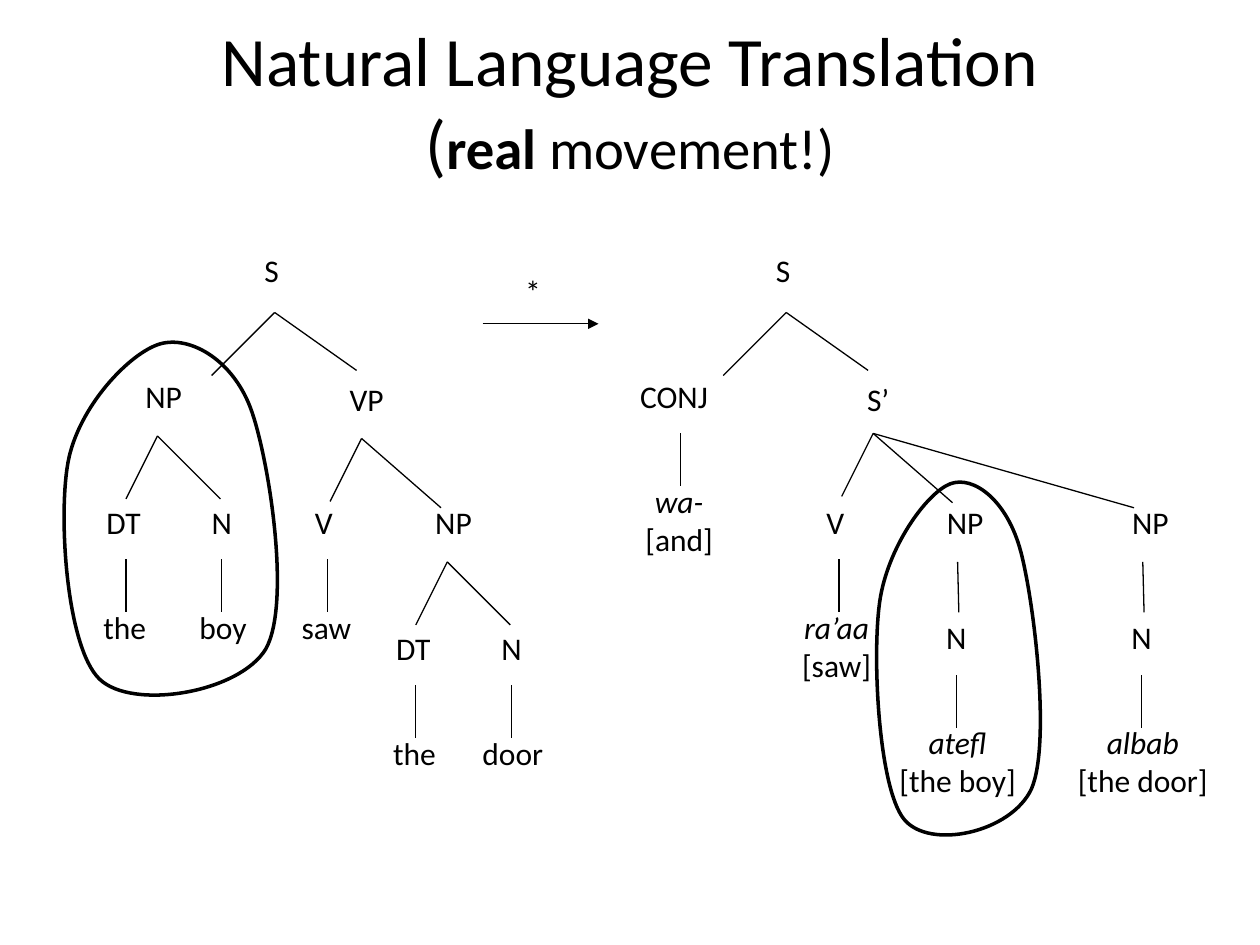
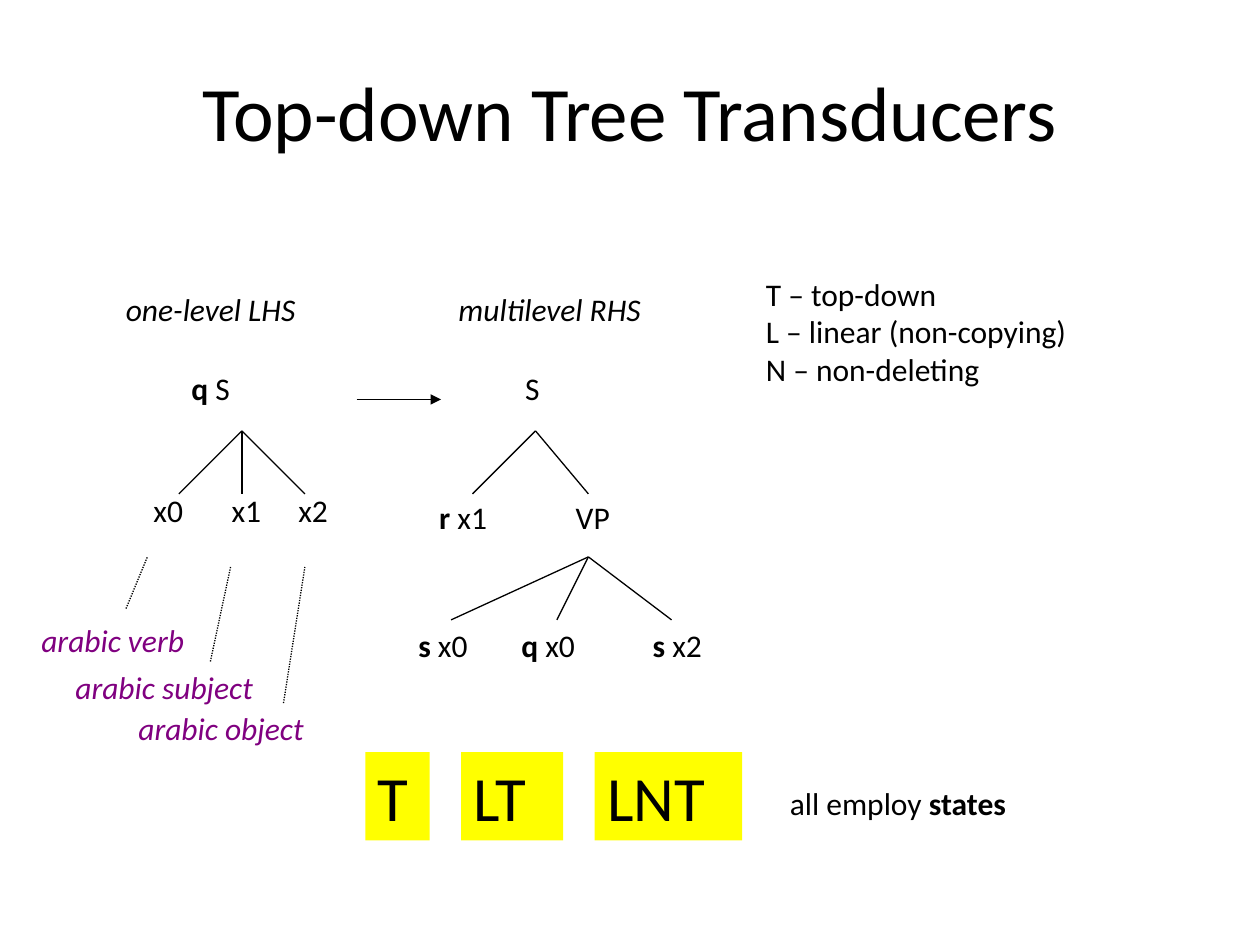
"""Build two slides on tree movement and top-down tree transducers."""
from dataclasses import dataclass

import lxml.etree
import pptx
import pptx.dml.color
import pptx.enum.dml
import pptx.enum.shapes
import pptx.enum.text
import pptx.oxml.ns
import pptx.util

Inches = pptx.util.Inches
Pt = pptx.util.Pt
RGB = pptx.dml.color.RGBColor
ALIGN = pptx.enum.text.PP_ALIGN
ANCHOR = pptx.enum.text.MSO_ANCHOR
SHAPES = pptx.enum.shapes.MSO_SHAPE
qn = pptx.oxml.ns.qn


@dataclass(frozen=True)
class Theme:
    """Hold the font, colours, type sizes and line widths."""
    font: str = "Calibri"
    ink: RGB = RGB(0, 0, 0)
    role: RGB = RGB(0x80, 0, 0x80)
    highlight: RGB = RGB(0xFF, 0xFF, 0)
    title: float = 44
    long_title: float = 39.6
    subtitle: float = 32.4
    body: float = 18
    model: float = 36
    branch: float = 0.75
    loop: float = 2


THEME = Theme()
LEAF_DROP = 0.42
LOOP_WIDTH = 1.85
LOOP_START = (0.81, 0.07)
LOOP_CURVES = [
    ((0.57, 0.14), (0.16, 0.57), (0.08, 1.01)),
    ((0, 1.45), (0.07, 2.48), (0.33, 2.73)),
    ((0.59, 2.98), (1.44, 2.84), (1.65, 2.49)),
    ((1.85, 2.13), (1.68, 1.02), (1.54, 0.61)),
    ((1.4, 0.2), (1.05, 0), LOOP_START),
]


def add_run(p, text, style="", size=THEME.body, color=THEME.ink):
    """Add one run; style holds "b" for bold and "i" for italic."""
    r = p.add_run()
    r.text = text
    r.font.name = THEME.font
    r.font.size = Pt(size)
    r.font.color.rgb = color
    r.font.bold = "b" in style
    r.font.italic = "i" in style


def fill_text(sp, paragraphs, align, size=THEME.body, color=THEME.ink):
    """Fill a shape with paragraphs, each a list of (text, style) runs."""
    tf = sp.text_frame
    tf.word_wrap = False
    tf.auto_size = pptx.enum.text.MSO_AUTO_SIZE.SHAPE_TO_FIT_TEXT
    tf.vertical_anchor = ANCHOR.TOP
    for i, runs in enumerate(paragraphs):
        p = tf.add_paragraph() if i else tf.paragraphs[0]
        p.alignment = align
        for text, style in runs:
            add_run(p, text, style, size, color)


def add_text(slide, x, y, w, *paragraphs, align=ALIGN.LEFT, h=None, color=THEME.ink):
    """Add a text box whose height follows its number of lines."""
    h = h or 0.1 + 0.4 * len(paragraphs)
    sp = slide.shapes.add_textbox(Inches(x), Inches(y), Inches(w), Inches(h))
    fill_text(sp, paragraphs, align, color=color)
    return sp


def add_node(slide, cx, y, w, *paragraphs):
    """Add a tree node centred on cx; a plain string is one unstyled line."""
    paragraphs = [[(p, "")] if isinstance(p, str) else p for p in paragraphs]
    return add_text(slide, cx - w / 2, y, w, *paragraphs, align=ALIGN.CENTER)


def add_gloss(slide, cx, y, w, word, meaning):
    """Add a foreign word in italics above its bracketed meaning."""
    add_node(slide, cx, y, w, [(word, "i")], f"[{meaning}]")


def add_title(slide, y):
    """Add the empty title box and return its centred paragraph."""
    sp = slide.shapes.add_textbox(Inches(0.75), Inches(y), Inches(8.5), Inches(1.25))
    tf = sp.text_frame
    tf.word_wrap = True
    tf.vertical_anchor = ANCHOR.MIDDLE
    p = tf.paragraphs[0]
    p.alignment = ALIGN.CENTER
    return p


def add_line(slide, start, end, arrow=False, dotted=False):
    """Add a thin straight line, with an arrowhead or dots if asked."""
    kind = pptx.enum.shapes.MSO_CONNECTOR.STRAIGHT
    sp = slide.shapes.add_connector(kind, *(Inches(v) for v in (*start, *end)))
    sp.line.color.rgb = THEME.ink
    sp.line.width = Pt(THEME.branch)
    if dotted:
        sp.line.dash_style = pptx.enum.dml.MSO_LINE.ROUND_DOT
    if arrow:
        ln = sp._element.spPr.find(qn("a:ln"))
        lxml.etree.SubElement(ln, qn("a:tailEnd"), type="triangle")
    lxml.etree.SubElement(sp._element.spPr, qn("a:effectLst"))
    return sp


def add_branches(slide, x, y, *offsets):
    """Draw branches from an apex to each (dx, dy) offset."""
    for dx, dy in offsets:
        add_line(slide, (x, y), (x + dx, y + dy))


def add_stem(slide, x, y):
    """Draw a vertical stem down from x, y."""
    add_branches(slide, x, y, (0, LEAF_DROP))


def add_joined_stem(slide, node, cx, y):
    """Draw a stem joined to the bottom of a node."""
    add_line(slide, (cx, y), (cx, y + LEAF_DROP)).begin_connect(node, 2)


def add_root(slide, x, y):
    """Add a sentence root S above the apex at x, y."""
    add_text(slide, x - 0.18, y - 0.54, 0.39, [("S", "")])


def add_sentence(slide, x, y):
    """Add a root S with its two branches."""
    add_root(slide, x, y)
    add_branches(slide, x, y, (-0.5, 0.5), (0.65, 0.46))


def add_english_np(slide, x, y, noun, noun_width):
    """Add the NP subtree of "the" and a noun below the apex x, y."""
    add_node(slide, x + 0.05, y - 0.52, 0.63, "NP")
    add_branches(slide, x, y, (0.5, 0.5), (-0.25, 0.5))
    add_node(slide, x - 0.27, y + 0.48, 0.65, "DT")
    n = add_node(slide, x + 0.51, y + 0.48, 0.44, "N")
    add_stem(slide, x - 0.25, y + 0.98)
    add_joined_stem(slide, n, x + 0.51, y + 0.98)
    add_node(slide, x - 0.26, y + 1.32, 0.61, "the")
    add_node(slide, x + 0.52, y + 1.32, noun_width, noun)


def add_arabic_np(slide, x, word, meaning, width):
    """Add the NP chain down to one Arabic word, its N centred on x."""
    add_node(slide, x + 0.07, 3.94, 0.63, "NP")
    add_line(slide, (x + 0.01, 4.46), (x + 0.02, 4.86))
    n = add_node(slide, x, 4.86, 0.44, "N")
    add_joined_stem(slide, n, x, 5.36)
    add_gloss(slide, x + 0.01, 5.69, width, word, meaning)


def add_loop(slide, x, y, width):
    """Draw the curved outline round a moved subtree."""
    def place(point):
        return Inches(x + point[0] * width / LOOP_WIDTH), Inches(y + point[1])

    points = [place(point) for curve in LOOP_CURVES for point in curve]
    builder = slide.shapes.build_freeform(*place(LOOP_START))
    builder.add_line_segments(points, close=True)
    sp = builder.convert_to_shape()
    segments = list(sp._element.iter(qn("a:lnTo")))
    for i in range(0, len(segments), 3):
        curve = lxml.etree.Element(qn("a:cubicBezTo"))
        segments[i].addprevious(curve)
        for segment in segments[i:i + 3]:
            curve.append(segment[0])
            segment.getparent().remove(segment)
    sp.shadow.inherit = False
    sp.fill.background()
    sp.line.color.rgb = THEME.ink
    sp.line.width = Pt(THEME.loop)


def add_model_tags(slide, x, y, gap, tags):
    """Add highlighted model names in a row with equal gaps."""
    for name, w in tags:
        sp = slide.shapes.add_shape(SHAPES.RECTANGLE, Inches(x), Inches(y),
                                    Inches(w), Inches(0.7))
        sp.shadow.inherit = False
        sp.fill.solid()
        sp.fill.fore_color.rgb = THEME.highlight
        sp.line.fill.background()
        fill_text(sp, [[(name, "")]], ALIGN.LEFT, THEME.model)
        x += w + gap


def build_translation(slide):
    """Build the English tree and its reordered Arabic translation."""
    p = add_title(slide, 0.17)
    add_run(p, "Natural Language Translation", size=THEME.long_title)
    p.add_line_break()
    add_run(p, "(", size=THEME.long_title)
    add_run(p, "real", "b", THEME.subtitle)
    add_run(p, " movement!)", size=THEME.subtitle)

    add_sentence(slide, 2.18, 2.48)
    add_english_np(slide, 1.25, 3.46, "boy", 0.7)
    add_node(slide, 2.91, 2.97, 0.63, "VP")
    add_branches(slide, 2.87, 3.48, (0.63, 0.55), (-0.25, 0.5))
    add_node(slide, 2.57, 3.94, 0.44, "V")
    add_stem(slide, 2.6, 4.44)
    add_node(slide, 2.59, 4.78, 0.72, "saw")
    add_english_np(slide, 3.55, 4.46, "door", 0.81)

    add_line(slide, (3.83, 2.57), (4.75, 2.57), arrow=True)
    add_text(slide, 4.07, 2.11, 0.37, [("*", "")])

    add_sentence(slide, 6.24, 2.48)
    add_node(slide, 5.35, 2.94, 1.04, "CONJ")
    add_stem(slide, 5.4, 3.44)
    add_gloss(slide, 5.39, 3.78, 0.9, "wa-", "and")
    add_node(slide, 6.97, 2.97, 0.5, "S’")
    add_branches(slide, 6.93, 3.44, (0.63, 0.55), (-0.25, 0.5), (2.07, 0.59))
    add_node(slide, 6.63, 3.94, 0.44, "V")
    add_stem(slide, 6.66, 4.44)
    add_gloss(slide, 6.64, 4.78, 0.94, "ra’aa", "saw")
    add_arabic_np(slide, 7.59, "atefl", "the boy", 1.41)
    add_arabic_np(slide, 9.06, "albab", "the door", 1.52)

    add_loop(slide, 0.46, 2.66, LOOP_WIDTH)
    add_loop(slide, 6.92, 3.77, 1.42)


def build_transducers(slide):
    """Build the transducer rule, its roles and the model names."""
    add_run(add_title(slide, 0.25), "Top-down Tree Transducers", size=THEME.title)
    for x, w, heading in ((0.9, 1.62, "one-level LHS"), (3.54, 1.71, "multilevel RHS")):
        add_text(slide, x, 2.25, w, [(heading, "i")], h=0.4)

    add_text(slide, 1.42, 2.88, 0.66, [("q", "b"), (" S", "")])
    add_branches(slide, 1.92, 3.42, (-0.5, 0.5), (0, 0.5), (0.5, 0.5))
    for x, name in ((1.07, "x0"), (1.69, "x1"), (2.22, "x2")):
        add_text(slide, x, 3.85, 0.53, [(name, "")], align=ALIGN.CENTER)
    roles = [
        ("arabic verb", 0.23, 4.88, 1.36, (1, 4.83), (1.17, 4.42)),
        ("arabic subject", 0.5, 5.25, 1.62, (1.67, 5.25), (1.83, 4.5)),
        ("arabic object", 1, 5.58, 1.53, (2.25, 5.58), (2.42, 4.5)),
    ]
    for role, x, y, w, start, end in roles:
        add_text(slide, x, y, w, [(role, "i")], h=0.4, color=THEME.role)
        add_line(slide, start, end, dotted=True)

    add_line(slide, (2.83, 3.17), (3.5, 3.17), arrow=True)
    add_root(slide, 4.25, 3.42)
    add_branches(slide, 4.25, 3.42, (-0.5, 0.5), (0.42, 0.5))
    add_text(slide, 4.39, 3.9, 0.63, [("VP", "")], align=ALIGN.CENTER)
    add_branches(slide, 4.67, 4.42, (-1.09, 0.5), (-0.25, 0.5), (0.66, 0.5))
    states = [(3.29, 3.9, 0.77, "r", "x1"), (3.14, 4.92, 0.75, "s", "x0"),
              (3.95, 4.92, 0.8, "q", "x0"), (5, 4.92, 0.75, "s", "x2")]
    for x, y, w, state, variable in states:
        runs = [(state, "b"), (f" {variable}", "")]
        add_text(slide, x, y, w, runs, align=ALIGN.CENTER)

    legend = ("T – top-down", "L – linear (non-copying)", "N – non-deleting")
    add_text(slide, 5.98, 2.13, 3.48, *([(line, "")] for line in legend))
    add_model_tags(slide, 2.9, 5.97, 0.25, [("T", 0.51), ("LT", 0.81), ("LNT", 1.17)])
    add_text(slide, 6.17, 6.17, 2.49, [("all employ ", ""), ("states", "b")])


def main():
    """Create the presentation and save it."""
    prs = pptx.Presentation()
    prs.slide_width, prs.slide_height = Inches(10), Inches(7.5)
    for build in (build_translation, build_transducers):
        build(prs.slides.add_slide(prs.slide_layouts[6]))
    prs.save("out.pptx")


if __name__ == "__main__":
    main()
